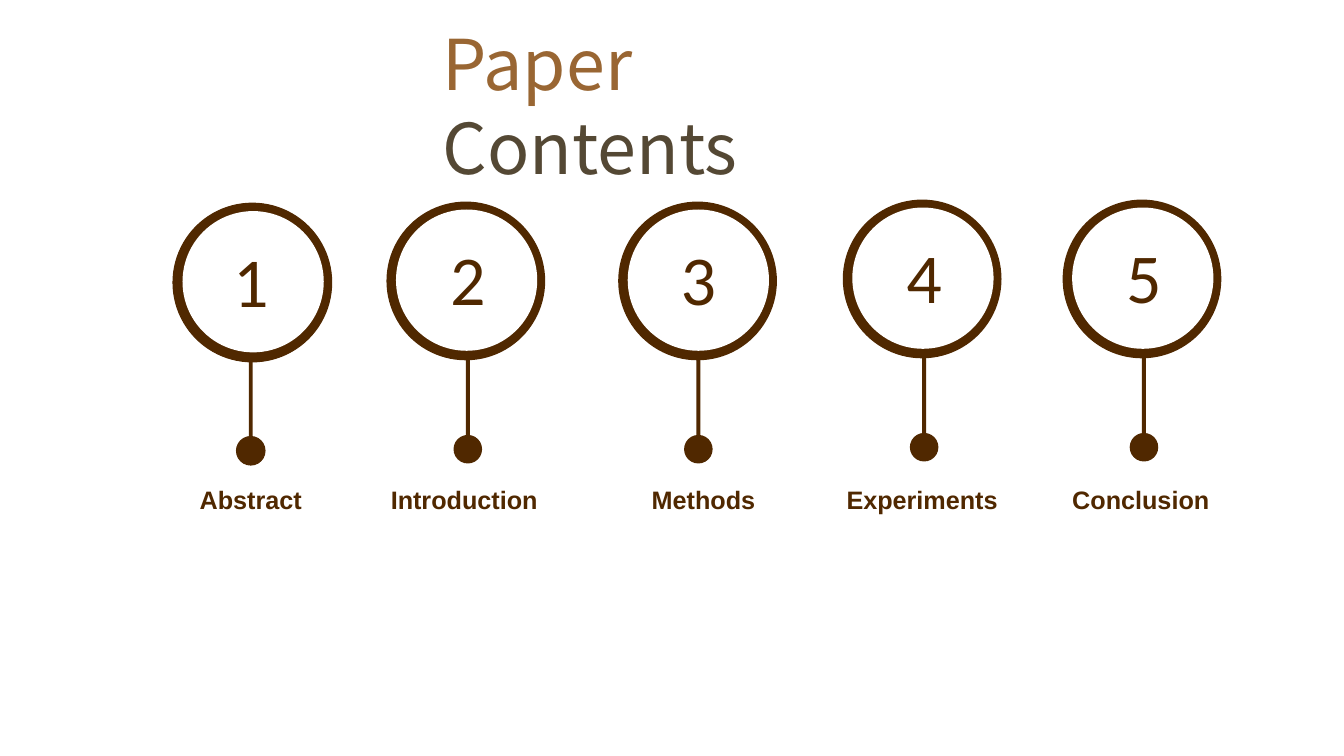
from pptx import Presentation
from pptx.dml.color import RGBColor
from pptx.enum.shapes import MSO_SHAPE
from pptx.enum.text import MSO_ANCHOR, MSO_AUTO_SIZE, PP_ALIGN
from pptx.util import Cm, Pt

OVAL, ROUNDED = MSO_SHAPE.OVAL, MSO_SHAPE.ROUNDED_RECTANGLE
LEFT, CENTER = PP_ALIGN.LEFT, PP_ALIGN.CENTER
TOP, NO_FIT = MSO_ANCHOR.TOP, MSO_AUTO_SIZE.NONE

# Content: heading words with their theme colour names
HEADING = [("Paper ", "accent"), ("Contents", "muted")]
# label, ring centre x, stem centre x, label centre x, ring top (cm), outline (pt)
STEPS = [
    ("Abstract", 6.36, 6.32, 6.32, 5.12, 0.75),
    ("Introduction", 11.74, 11.79, 11.7, 5.08, 0),
    ("Methods", 17.58, 17.6, 17.73, 5.08, 0),
    ("Experiments", 23.24, 23.29, 23.24, 5.03, 0),
    ("Conclusion", 28.78, 28.83, 28.75, 5.03, 0),
]

THEME = {
    "dark": RGBColor(0x50, 0x28, 0x00),
    "paper": RGBColor(0xFF, 0xFF, 0xFF),
    "accent": RGBColor(0x99, 0x66, 0x33),
    "muted": RGBColor(0x54, 0x48, 0x34),
    "heading": {"name": "Noto Sans CJK KR", "size": Pt(50), "bold": False},
    "number": {"name": "Calibri", "size": Pt(50), "bold": False},
    "label": {"name": "Arial", "size": Pt(18), "bold": True},
}

# Sizes in cm; the drops are measured from the top of the ring
RING, DISC, DOT = 4.0, 3.56, 0.72
STEM_WIDTH, STEM_HEIGHT = 0.1, 2.69
DISC_DROP, NUMBER_DROP, STEM_DROP, DOT_DROP = 0.2, 0.74, 3.62, 5.88
NUMBER_WIDTH, NUMBER_HEIGHT = 1.42, 2.39
LABEL_TOP, LABEL_WIDTH, LABEL_HEIGHT = 12.0, 5.69, 2.06


def box(center_x, top, width, height):
    return Cm(center_x - width / 2), Cm(top), Cm(width), Cm(height)


def add_part(slide, kind, color, place, outline=0):
    part = slide.shapes.add_shape(kind, *place)
    part.shadow.inherit = False
    part.fill.solid()
    part.fill.fore_color.rgb = THEME[color]
    if outline:
        part.line.color.rgb = THEME[color]
        part.line.width = Pt(outline)
    else:
        part.line.fill.background()
    return part


def write(frame, pieces, style, align, wrap=True, spacing=1.0):
    frame_format = {"word_wrap": wrap, "auto_size": NO_FIT, "vertical_anchor": TOP}
    for key, value in frame_format.items():
        setattr(frame, key, value)
    paragraph = frame.paragraphs[0]
    paragraph.alignment, paragraph.line_spacing = align, spacing
    for words, color in pieces:
        run = paragraph.add_run()
        run.text = words
        for key, value in THEME[style].items():
            setattr(run.font, key, value)
        run.font.color.rgb = THEME[color]


def add_step(slide, number, step):
    label, ring_x, stem_x, label_x, top, outline = step

    # Stem, ring and dot
    stem = add_part(slide, ROUNDED, "dark",
                    box(stem_x, top + STEM_DROP, STEM_WIDTH, STEM_HEIGHT))
    stem.adjustments[0] = 0.5
    add_part(slide, OVAL, "dark", box(ring_x, top, RING, RING), outline)
    add_part(slide, OVAL, "paper", box(ring_x + 0.02, top + DISC_DROP, DISC, DISC))
    add_part(slide, OVAL, "dark", box(stem_x, top + DOT_DROP, DOT, DOT), outline)

    # Number and label
    number_box = slide.shapes.add_textbox(
        *box(stem_x, top + NUMBER_DROP, NUMBER_WIDTH, NUMBER_HEIGHT))
    write(number_box.text_frame, [(str(number), "dark")], "number", CENTER, wrap=False)
    label_box = slide.shapes.add_textbox(
        *box(label_x, LABEL_TOP, LABEL_WIDTH, LABEL_HEIGHT))
    write(label_box.text_frame, [(label, "dark")], "label", CENTER, spacing=1.11)


def main():
    deck = Presentation()
    deck.slide_width, deck.slide_height = Cm(33.87), Cm(19.05)
    slide = deck.slides.add_slide(deck.slide_layouts[5])

    # Heading
    heading = slide.shapes.title
    heading.left, heading.top, heading.width, heading.height = (
        Cm(10.9), Cm(0.38), Cm(13.06), Cm(2.39))
    write(heading.text_frame, HEADING, "heading", LEFT)

    # Numbered steps
    for number, step in enumerate(STEPS, start=1):
        add_step(slide, number, step)

    deck.save("out.pptx")


if __name__ == "__main__":
    main()
